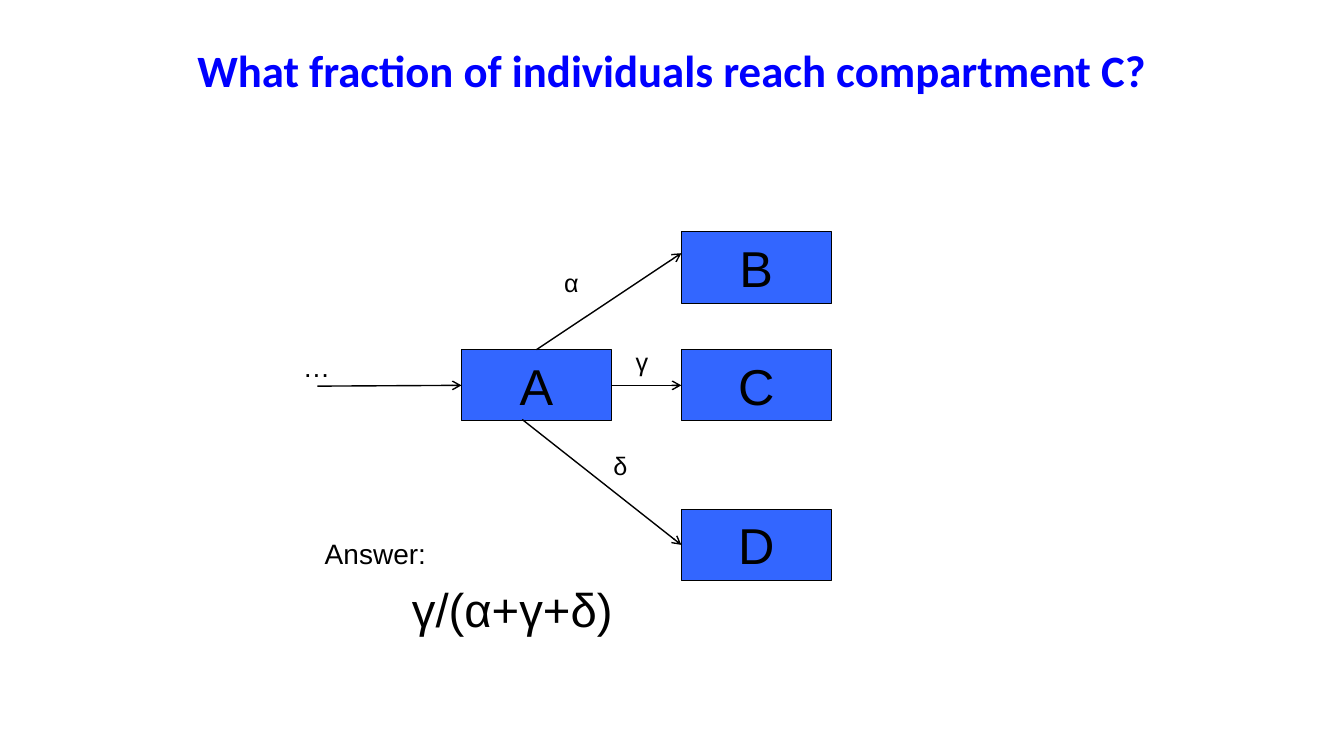
from dataclasses import dataclass
from typing import Optional

import pptx
import pptx.dml.color
import pptx.enum.shapes
import pptx.enum.text
import pptx.oxml
import pptx.oxml.ns
import pptx.util
from pptx.util import Cm

BLACK = pptx.dml.color.RGBColor(0x00, 0x00, 0x00)
BOX_BLUE = pptx.dml.color.RGBColor(0x33, 0x66, 0xFF)
TITLE_BLUE = pptx.dml.color.RGBColor(0x00, 0x00, 0xFF)

CENTER = pptx.enum.text.PP_ALIGN.CENTER
LEFT = pptx.enum.text.PP_ALIGN.LEFT

BOX_WIDTH, BOX_HEIGHT = 3.78, 1.8
SOURCE_LEFT, TARGET_LEFT = 11.63, 17.17
MIDDLE_TOP = 8.81
TOP_SIDE, LEFT_SIDE, RIGHT_SIDE = 0, 1, 3


@dataclass(frozen=True)
class Compartment:
    name: str
    left: float
    top: float


@dataclass(frozen=True)
class Joint:
    compartment: str
    side: int


@dataclass(frozen=True)
class Flow:
    """An arrow; a joint, where given, fixes that end to a compartment."""
    start: tuple[float, float]
    end: tuple[float, float]
    start_joint: Optional[Joint] = None
    end_joint: Optional[Joint] = None


@dataclass(frozen=True)
class Label:
    text: str
    left: float
    top: float
    width: float
    height: float
    size: float
    align: pptx.enum.text.PP_ALIGN = LEFT
    wrap: bool = True
    font: str = "Arial"
    color: pptx.dml.color.RGBColor = BLACK
    bold: bool = False


COMPARTMENTS = [
    Compartment("A", SOURCE_LEFT, MIDDLE_TOP),
    Compartment("B", TARGET_LEFT, 5.84),
    Compartment("C", TARGET_LEFT, MIDDLE_TOP),
    Compartment("D", TARGET_LEFT, 12.83),
]

FLOWS = [
    Flow((13.52, 8.81), (17.17, 6.38), start_joint=Joint("A", TOP_SIDE)),
    Flow((13.16, 10.57), (17.17, 13.73), end_joint=Joint("D", LEFT_SIDE)),
    Flow((15.41, 9.71), (17.17, 9.71), Joint("A", RIGHT_SIDE), Joint("C", LEFT_SIDE)),
    Flow((8.0, 9.73), (11.63, 9.71), end_joint=Joint("A", LEFT_SIDE)),
]

LABELS = [
    Label("α", 13.97, 6.6, 2.92, 1.02, 18),
    Label("γ", 15.77, 8.59, 2.92, 1.02, 18),
    Label("δ", 15.21, 11.23, 2.92, 1.02, 18),
    Label("Answer: ", 7.92, 13.39, 3.28, 1.12, 20, CENTER, wrap=False),
    Label("…", 7.37, 8.69, 1.22, 1.09, 19.5, CENTER, wrap=False),
    Label("What fraction of individuals reach compartment C?", 2.21, 0.94, 29.46, 1.63,
          32, CENTER, font="Calibri", color=TITLE_BLUE, bold=True),
    Label("γ/(α+γ+δ)", 10.13, 14.5, 6.07, 1.7, 33.8),
]


def write(frame, text: str, size: float, align, font: str = "Arial",
          color=BLACK, bold: bool = False) -> None:
    frame.text = text
    paragraph = frame.paragraphs[0]
    paragraph.alignment = align
    style = paragraph.runs[0].font
    style.name = font
    style.size = pptx.util.Pt(size)
    style.bold = bold
    style.color.rgb = color


def draw_compartment(slide, compartment: Compartment):
    box = slide.shapes.add_shape(
        pptx.enum.shapes.MSO_SHAPE.RECTANGLE, Cm(compartment.left), Cm(compartment.top),
        Cm(BOX_WIDTH), Cm(BOX_HEIGHT))
    box.shadow.inherit = False
    box.fill.solid()
    box.fill.fore_color.rgb = BOX_BLUE
    box.line.color.rgb = BLACK
    box.line.width = pptx.util.Pt(0.75)
    box.text_frame.vertical_anchor = pptx.enum.text.MSO_ANCHOR.MIDDLE
    write(box.text_frame, compartment.name, 36, CENTER)
    return box


def draw_flow(slide, flow: Flow, boxes: dict) -> None:
    arrow = slide.shapes.add_connector(
        pptx.enum.shapes.MSO_CONNECTOR.STRAIGHT,
        *(Cm(value) for value in flow.start + flow.end))
    if flow.start_joint:
        arrow.begin_connect(boxes[flow.start_joint.compartment], flow.start_joint.side)
    if flow.end_joint:
        arrow.end_connect(boxes[flow.end_joint.compartment], flow.end_joint.side)
    arrow.line.color.rgb = BLACK
    arrow.line.width = pptx.util.Pt(1)
    namespace = pptx.oxml.ns.nsdecls("a")
    arrow.line._get_or_add_ln().append(
        pptx.oxml.parse_xml(f'<a:tailEnd {namespace} type="arrow"/>'))
    arrow._element.spPr.append(pptx.oxml.parse_xml(f"<a:effectLst {namespace}/>"))


def draw_label(slide, label: Label) -> None:
    box = slide.shapes.add_textbox(
        Cm(label.left), Cm(label.top), Cm(label.width), Cm(label.height))
    box.text_frame.word_wrap = label.wrap
    write(box.text_frame, label.text, label.size, label.align,
          label.font, label.color, label.bold)


def main() -> None:
    presentation = pptx.Presentation()
    presentation.slide_width = Cm(33.87)
    presentation.slide_height = Cm(19.05)
    slide = presentation.slides.add_slide(presentation.slide_layouts[6])

    boxes = {item.name: draw_compartment(slide, item) for item in COMPARTMENTS}
    for flow in FLOWS:
        draw_flow(slide, flow, boxes)
    for label in LABELS:
        draw_label(slide, label)

    presentation.save("out.pptx")


if __name__ == "__main__":
    main()
